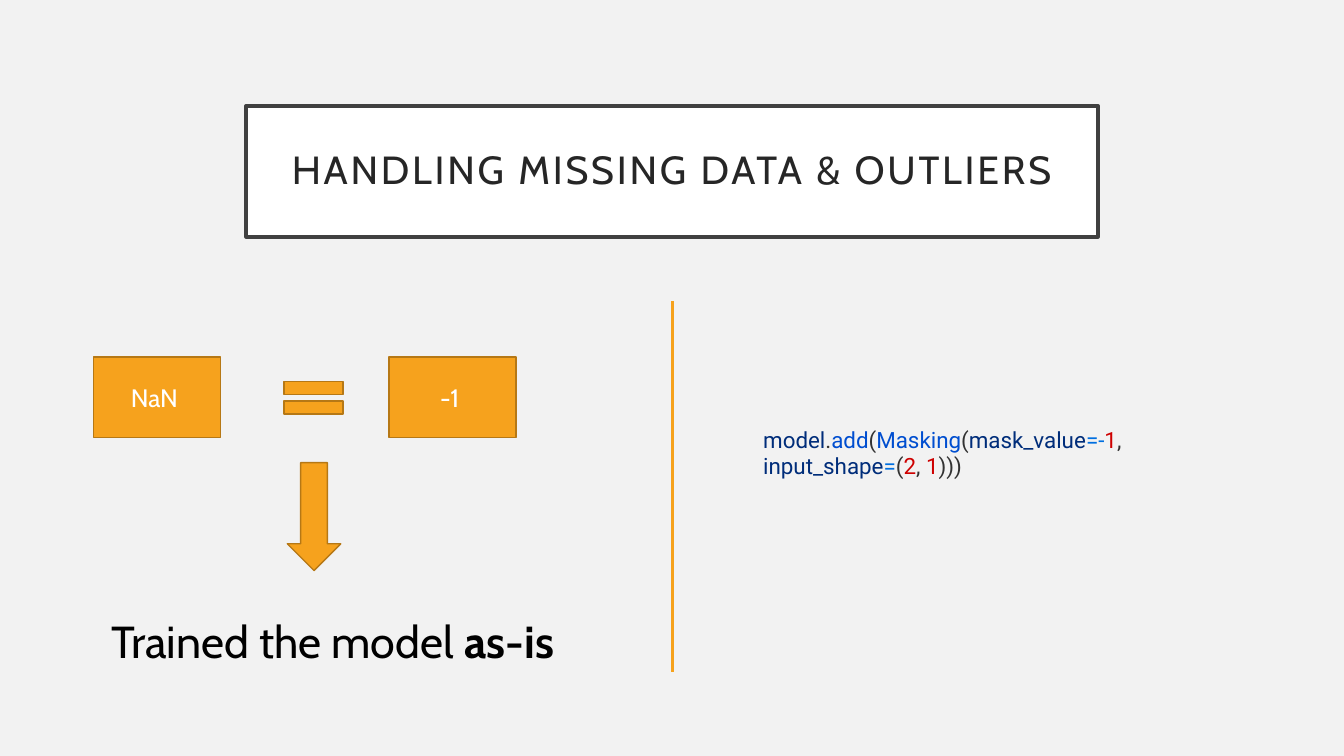
from lxml import etree
from pptx import Presentation
from pptx.dml.color import RGBColor
from pptx.enum.shapes import MSO_CONNECTOR, MSO_SHAPE
from pptx.enum.text import MSO_ANCHOR, MSO_AUTO_SIZE, PP_ALIGN
from pptx.oxml.ns import qn
from pptx.util import Inches, Pt

COLORS = {
    "background": "F2F2F2", "white": "FFFFFF", "frame": "404040",
    "title": "262626", "text": "000000", "accent": "F6A21D", "edge": "B67815",
    "name": "002D7A", "call": "004ED0", "sign": "006FE0",
    "number": "CE0000", "mark": "333333",
}
CODE = [
    ("model", "name"), (".", "mark"), ("add", "call"), ("(", "mark"),
    ("Masking", "call"), ("(", "mark"), ("mask_value", "name"), ("=-", "sign"),
    ("1", "number"), (", ", "mark"), ("input_shape", "name"), ("=", "sign"),
    ("(", "mark"), ("2", "number"), (", ", "mark"), ("1", "number"), (")))", "mark"),
]


def rgb(name):
    return RGBColor.from_string(COLORS[name])


class SlideBuilder:
    font = "Cabin"
    code_font = "Roboto"

    def __init__(self, prs):
        self.slide = prs.slides.add_slide(prs.slide_layouts[5])
        fill = self.slide.background.fill
        fill.solid()
        fill.fore_color.rgb = rgb("background")

    def paint(self, sp, fill, line, width):
        sp.fill.solid()
        sp.fill.fore_color.rgb = rgb(fill)
        sp.line.color.rgb = rgb(line)
        sp.line.width = Pt(width)

    def run(self, p, text, size, color, font=None, bold=False):
        r = p.add_run()
        r.text = text
        r.font.name = font or self.font
        r.font.size = Pt(size)
        r.font.bold = bold
        r.font.color.rgb = rgb(color)
        return r

    def title(self, text, x, y, w, h):
        sp = self.slide.shapes.title
        sp.left, sp.top, sp.width, sp.height = map(Inches, (x, y, w, h))
        self.paint(sp, "white", "frame", 2.5)
        tf = sp.text_frame
        tf.auto_size = MSO_AUTO_SIZE.NONE
        tf.word_wrap = True
        tf.vertical_anchor = MSO_ANCHOR.MIDDLE
        tf.margin_left = tf.margin_right = Inches(0.2)
        tf.margin_top = tf.margin_bottom = Inches(0.2)
        p = tf.paragraphs[0]
        p.alignment = PP_ALIGN.CENTER
        p.line_spacing = 0.9
        r = self.run(p, text, 28, "title")
        r.font._element.set("spc", "200")

    def shape(self, kind, x, y, w, h, text=None):
        sp = self.slide.shapes.add_shape(kind, *map(Inches, (x, y, w, h)))
        sp.shadow.inherit = False
        self.paint(sp, "accent", "edge", 1)
        if text:
            tf = sp.text_frame
            tf.vertical_anchor = MSO_ANCHOR.MIDDLE
            p = tf.paragraphs[0]
            p.alignment = PP_ALIGN.CENTER
            self.run(p, text, 18, "white")

    def caption(self, parts, x, y, w, h):
        """Add centred text from (text, bold) parts."""
        sp = self.slide.shapes.add_textbox(*map(Inches, (x, y, w, h)))
        tf = sp.text_frame
        tf.word_wrap = True
        tf.auto_size = MSO_AUTO_SIZE.SHAPE_TO_FIT_TEXT
        p = tf.paragraphs[0]
        p.alignment = PP_ALIGN.CENTER
        for text, bold in parts:
            self.run(p, text, 32, "text", bold=bold)

    def divider(self, x, top, bottom):
        line = self.slide.shapes.add_connector(
            MSO_CONNECTOR.STRAIGHT, *map(Inches, (x, top, x, bottom)))
        line.line.color.rgb = rgb("accent")
        line.line.width = Pt(2.5)
        etree.SubElement(line._element.spPr, qn("a:effectLst"))

    def code_table(self, parts, x, y, w, h):
        """Add a borderless one-cell table from (text, color) parts."""
        frame = self.slide.shapes.add_table(1, 1, *map(Inches, (x, y, w, h)))
        table = frame.table
        table.first_row = table.horz_banding = False
        cell = table.cell(0, 0)
        cell.margin_left = cell.margin_right = Inches(0.06)
        cell.margin_top = cell.margin_bottom = Inches(0.06)
        tc_pr = cell._tc.get_or_add_tcPr()
        for side in ("lnL", "lnR", "lnT", "lnB"):
            border = etree.SubElement(tc_pr, qn(f"a:{side}"))
            etree.SubElement(border, qn("a:noFill"))
        cell.fill.background()
        p = cell.text_frame.paragraphs[0]
        for text, color in parts:
            self.run(p, text, 16, color, self.code_font)


def main():
    prs = Presentation()
    prs.slide_width, prs.slide_height = Inches(13.33), Inches(7.5)
    s = SlideBuilder(prs)
    s.title("HANDLING MISSING DATA & OUTLIERS", 2.44, 1.05, 8.45, 1.3)
    for text, x in (("NaN ", 0.93), ("-1 ", 3.86)):
        s.shape(MSO_SHAPE.RECTANGLE, x, 3.54, 1.26, 0.8, text)
    s.shape(MSO_SHAPE.MATH_EQUAL, 2.71, 3.67, 0.8, 0.55)
    s.shape(MSO_SHAPE.DOWN_ARROW, 2.85, 4.59, 0.53, 1.07)
    s.caption([("Trained the model ", False), ("as-is", True)], 0.94, 6.04, 4.72, 0.64)
    s.divider(6.67, 2.99, 6.67)
    s.code_table(CODE, 7.51, 4.18, 4.17, 0.73)
    prs.save("out.pptx")


if __name__ == "__main__":
    main()
